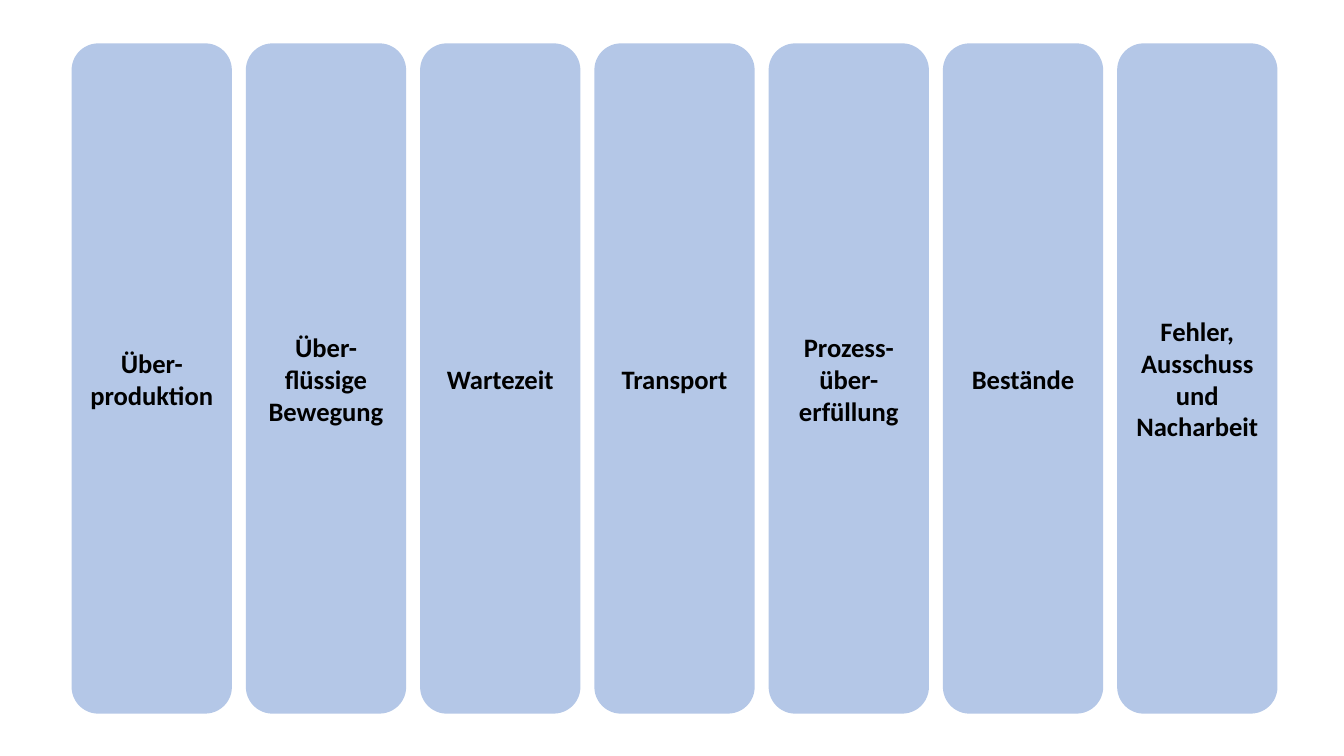
from pptx import Presentation
from pptx import util as u
from pptx.dml import color
from pptx.enum import shapes, text

PX = 9144  # EMU per px, 100 px to the inch
WASTES = [
    "Über-produktion",
    "Über-flüssige Bewegung",
    "Wartezeit",
    "Transport",
    "Prozess-über-erfüllung",
    "Bestände",
    "Fehler, Ausschuss und Nacharbeit",
]


def px(length):
    return u.Emu(round(length * PX))


def rgb(hex_string):
    return color.RGBColor.from_string(hex_string)


def add_column(slide, label, left, top, width, height):
    """One rounded column with a centred bold label."""
    shape = slide.shapes.add_shape(
        shapes.MSO_SHAPE.ROUNDED_RECTANGLE, px(left), px(top), px(width), px(height))
    shape.shadow.inherit = False
    shape.fill.solid()
    shape.fill.fore_color.rgb = rgb("B4C7E7")
    shape.line.fill.background()

    # Label
    frame = shape.text_frame
    frame.text = label
    frame.word_wrap = True
    frame.vertical_anchor = text.MSO_ANCHOR.MIDDLE
    paragraph = frame.paragraphs[0]
    paragraph.alignment = text.PP_ALIGN.CENTER
    font = paragraph.runs[0].font
    font.name, font.size, font.bold = "Calibri", u.Pt(19), True
    font.color.rgb = rgb("000000")


def add_columns(slide, labels, left, top, width, height, column_width):
    """Equally spaced columns filling the given box."""
    pitch = (width - column_width) / (len(labels) - 1)
    for index, label in enumerate(labels):
        add_column(slide, label, left + index * pitch, top, column_width, height)


def main():
    presentation = Presentation()
    presentation.slide_width, presentation.slide_height = px(1333), px(750)
    slide = presentation.slides.add_slide(presentation.slide_layouts[6])

    # The seven kinds of waste
    add_columns(slide, WASTES, 71, 43, 1196, 665, column_width=159)
    presentation.save("out.pptx")


if __name__ == "__main__":
    main()
